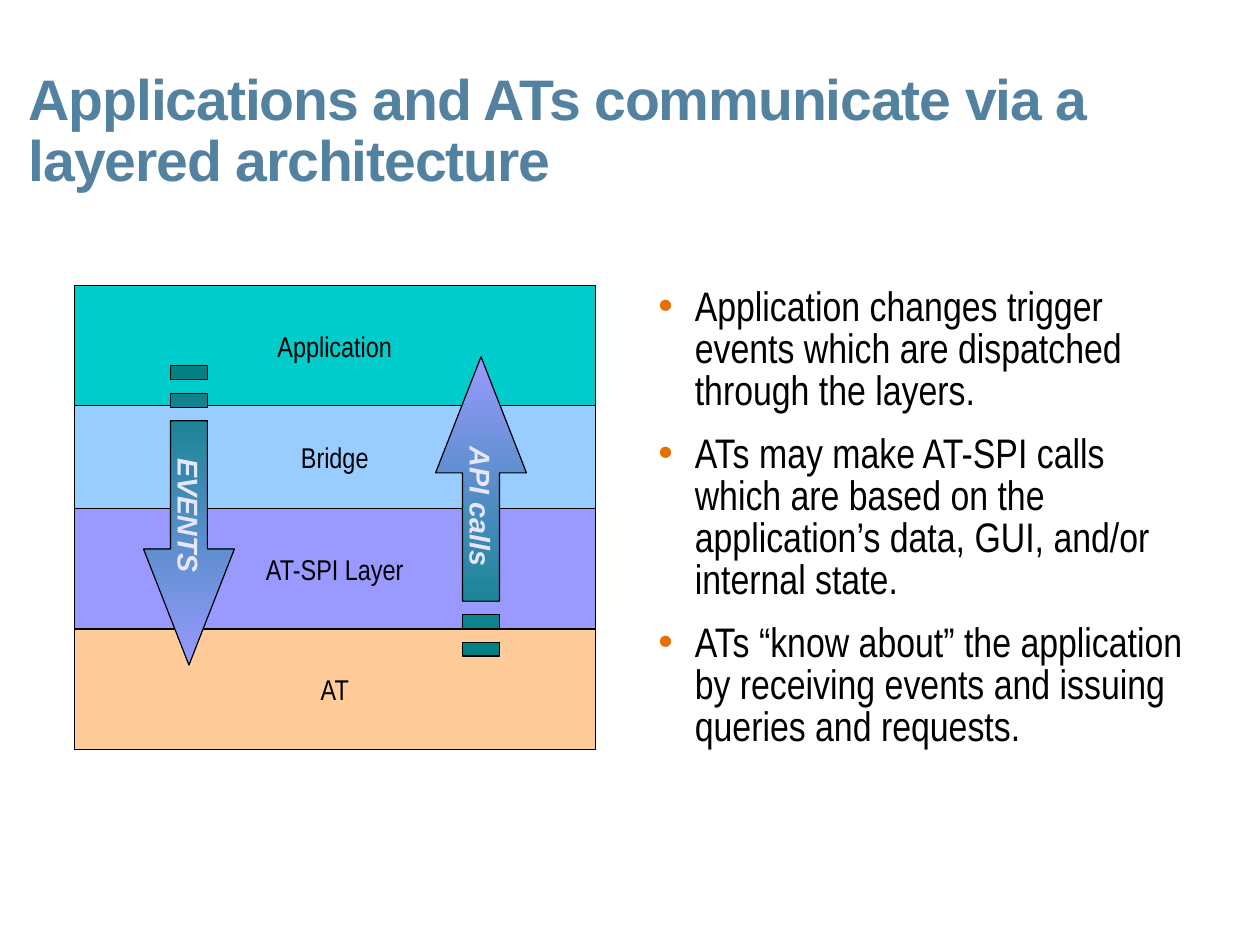
from itertools import accumulate

from lxml import etree
from pptx import Presentation
from pptx.dml.color import RGBColor
from pptx.enum.shapes import MSO_SHAPE
from pptx.enum.text import MSO_ANCHOR, MSO_AUTO_SIZE, PP_ALIGN
from pptx.oxml.ns import qn
from pptx.util import Cm, Pt

RECTANGLE = MSO_SHAPE.RECTANGLE
TOP, MIDDLE = MSO_ANCHOR.TOP, MSO_ANCHOR.MIDDLE
LEFT, CENTER = PP_ALIGN.LEFT, PP_ALIGN.CENTER
NO_FIT = MSO_AUTO_SIZE.NONE

TITLE = "Applications and ATs communicate via a layered architecture"
POINTS = [
    "Application changes trigger events which are dispatched through the layers.",
    "ATs may make AT-SPI calls which are based on the application’s data, GUI, and/or internal state.",
    "ATs “know about” the application by receiving events and issuing queries and requests.",
]
LAYERS = [
    ("Application", "00CCCC", 2.67),
    ("Bridge", "99CCFF", 2.29),
    ("AT-SPI Layer", "9999FF", 2.67),
    ("AT", "FFCC99", 2.67),
]
LAYER_LEFT, LAYER_TOP, LAYER_WIDTH = 1.65, 6.35, 11.58


def color(value):
    """Turn a hex string into a colour."""
    return RGBColor.from_string(value)


def apply(target, values):
    """Set each named attribute on the target."""
    for name, value in values.items():
        setattr(target, name, value)


class LayerSlide:
    """Hold the style and the current slide."""

    title_font = {"name": "Arial", "size": Pt(36), "bold": True}
    body_font = {"name": "Arial Narrow", "size": Pt(26)}
    layer_font = {"name": "Arial Narrow", "size": Pt(18)}
    arrow_font = {"name": "Arial", "size": Pt(18), "bold": True, "italic": True}
    no_margins = dict.fromkeys(
        ("margin_left", "margin_top", "margin_right", "margin_bottom"), 0)
    placeholder_frame = {"word_wrap": True, "auto_size": NO_FIT,
                         "vertical_anchor": TOP, **no_margins}
    shape_frame = {"word_wrap": True, "vertical_anchor": MIDDLE}

    def __init__(self, presentation):
        """Add a slide with a title and a body."""
        self.slide = presentation.slides.add_slide(presentation.slide_layouts[1])
        self.shapes = self.slide.shapes

    def add_text(self, paragraph, text, font, ink):
        """Add a formatted run of text."""
        run = paragraph.add_run()
        run.text = text
        apply(run.font, font)
        run.font.color.rgb = color(ink)
        return run

    def place(self, placeholder, left, top, width, height):
        """Move a placeholder and return its text frame."""
        apply(placeholder, {"left": Cm(left), "top": Cm(top),
                            "width": Cm(width), "height": Cm(height)})
        apply(placeholder.text_frame, self.placeholder_frame)
        return placeholder.text_frame

    def title(self, text):
        """Fill the title."""
        frame = self.place(self.shapes.title, 0.64, 1.57, 25.2, 3.5)
        paragraph = frame.paragraphs[0]
        apply(paragraph, {"alignment": LEFT, "line_spacing": 0.9})
        run = self.add_text(paragraph, text, self.title_font, "5382A1")
        run.font._element.set("spc", "-70")

    def bullets(self, points):
        """Fill the body with a bulleted list."""
        frame = self.place(self.slide.placeholders[1], 14.3, 6.4, 12.3, 14.43)
        for index, point in enumerate(points):
            paragraph = frame.add_paragraph() if index else frame.paragraphs[0]
            properties = paragraph._p.get_or_add_pPr()
            properties.set("marL", str(Cm(1.14)))
            properties.set("indent", str(Cm(-0.81)))
            bullet_color = etree.SubElement(properties, qn("a:buClr"))
            etree.SubElement(bullet_color, qn("a:srgbClr"), val="E76F00")
            etree.SubElement(properties, qn("a:buFont"), typeface="Arial")
            etree.SubElement(properties, qn("a:buChar"), char="•")
            apply(paragraph, {"line_spacing": 0.85,
                              "space_before": Pt(12.9 if index else 0)})
            self.add_text(paragraph, point, self.body_font, "000000")

    def label(self, shape, text, font, ink):
        """Outline a shape and centre its text."""
        shape.shadow.inherit = False
        shape.line.color.rgb = color("000000")
        shape.line.width = Pt(0)
        apply(shape.text_frame, self.shape_frame)
        paragraph = shape.text_frame.paragraphs[0]
        paragraph.alignment = CENTER
        self.add_text(paragraph, text, font, ink)

    def layer(self, text, fill, top, height):
        """Draw one layer of the architecture."""
        shape = self.shapes.add_shape(
            RECTANGLE, Cm(LAYER_LEFT), Cm(top), Cm(LAYER_WIDTH), Cm(height))
        shape.fill.solid()
        shape.fill.fore_color.rgb = color(fill)
        self.label(shape, text, self.layer_font, "000000")

    def striped_arrow(self, text, center, tail, direction):
        """Draw a vertical striped arrow; direction is 1 for down, -1 for up."""
        half_head, half_shaft, stripe, step = 1.01, 0.41, 0.31, 0.61
        neck, tip = 4.07, 6.65

        def locate(points):
            return [(Cm(center + across), Cm(tail + direction * along))
                    for across, along in points]

        outlines = [[(-half_shaft, start), (half_shaft, start),
                     (half_shaft, start + stripe), (-half_shaft, start + stripe)]
                    for start in (0, step)]
        outlines.append([
            (-half_shaft, 2 * step), (half_shaft, 2 * step), (half_shaft, neck),
            (half_head, neck), (0, tip), (-half_head, neck), (-half_shaft, neck)])
        builder = None
        for outline in map(locate, outlines):
            if builder is None:
                builder = self.shapes.build_freeform(*outline[0])
            else:
                builder.move_to(*outline[0])
            builder.add_line_segments(outline[1:], close=True)
        arrow = builder.convert_to_shape()
        arrow.fill.gradient()
        arrow.fill.gradient_angle = 270 if direction > 0 else 90
        for stop, value in zip(arrow.fill.gradient_stops, ("008080", "9999FF")):
            stop.color.rgb = color(value)
        self.label(arrow, text, self.arrow_font, "E6E6FF")
        arrow.text_frame._txBody.bodyPr.set("vert", "vert")


def main():
    """Build and save the presentation."""
    presentation = Presentation()
    apply(presentation, {"slide_width": Cm(28), "slide_height": Cm(21)})
    slide = LayerSlide(presentation)
    slide.title(TITLE)
    slide.bullets(POINTS)
    tops = accumulate((height for _, _, height in LAYERS), initial=LAYER_TOP)
    for (text, fill, height), top in zip(LAYERS, tops):
        slide.layer(text, fill, top, height)
    slide.striped_arrow("API calls", 10.69, 14.58, -1)
    slide.striped_arrow("EVENTS", 4.2, 8.13, 1)
    presentation.save("out.pptx")


if __name__ == "__main__":
    main()
